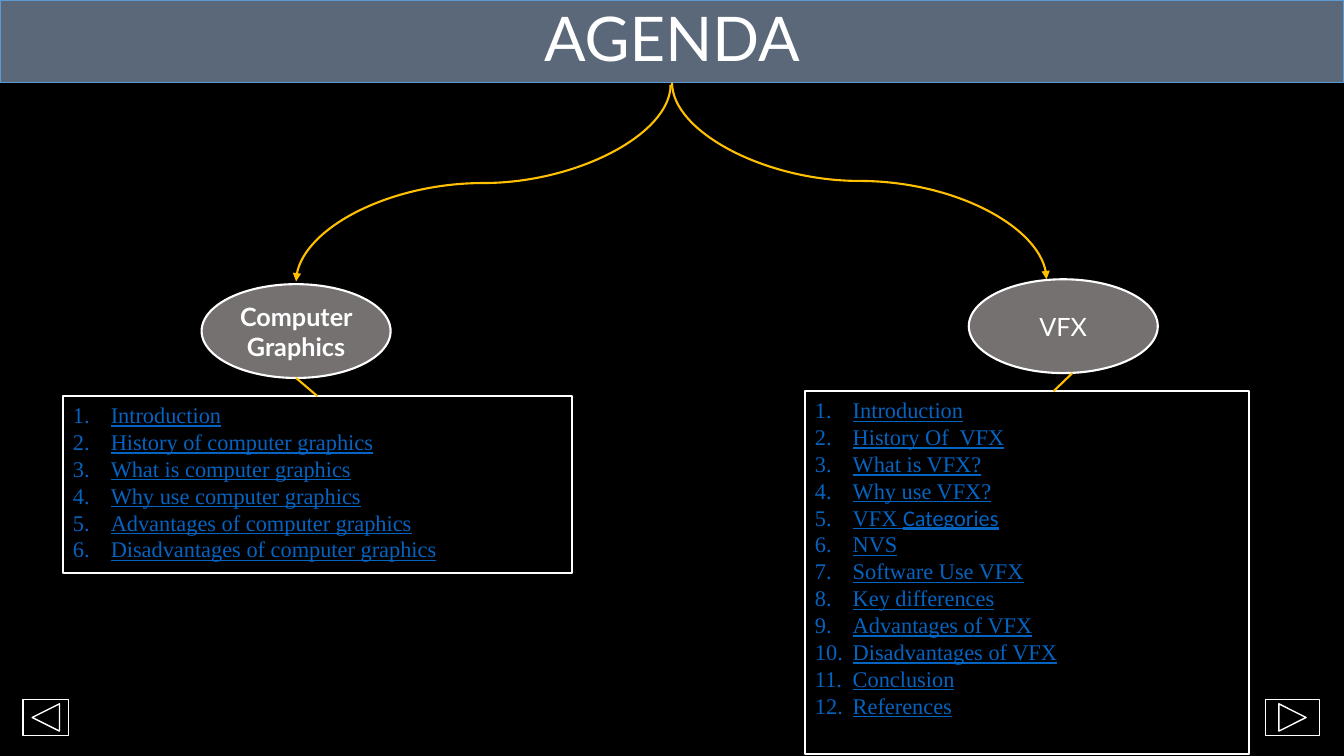
from dataclasses import dataclass

from lxml.etree import SubElement
from pptx import Presentation
from pptx.dml.color import RGBColor
from pptx.enum.dml import MSO_FILL
from pptx.enum.shapes import MSO_CONNECTOR, MSO_SHAPE
from pptx.enum.text import MSO_ANCHOR, PP_ALIGN
from pptx.oxml.ns import qn
from pptx.shapes.autoshape import Shape
from pptx.shapes.connector import Connector
from pptx.slide import Slide
from pptx.util import Pt

WHITE, BLACK, GOLD, LINK_BLUE = "FFFFFF", "000000", "FFC000", "0563C1"
LIST_INDENT = 27


@dataclass(frozen=True)
class Frame:
    kind: MSO_SHAPE
    left: float
    top: float
    width: float
    height: float
    fill: str = ""
    line: str = WHITE
    line_width: float = 1.5


@dataclass(frozen=True)
class Label:
    text: str
    size: float
    bold: bool = False
    line_spacing: float = 1.0


@dataclass(frozen=True)
class Entry:
    text: str
    sans_tail: str = ""


@dataclass(frozen=True)
class Topic:
    oval: Frame
    label: Label
    box: Frame
    entries: tuple[Entry, ...]
    alignment: PP_ALIGN
    arrow: tuple[float, float, float, float]
    link: tuple[float, float, float, float]
    link_joins_box: bool


TITLE_BAR = Frame(MSO_SHAPE.RECTANGLE, 0, 0, 960, 59, "8497B0", "5B9BD5", 0.75)
TITLE = Label("AGENDA", 44, line_spacing=0.9)

TOPICS = (
    Topic(
        Frame(MSO_SHAPE.OVAL, 144, 203, 135, 67, "767171"),
        Label("Computer Graphics", 18, bold=True),
        Frame(MSO_SHAPE.RECTANGLE, 45, 283, 363.5, 126, BLACK),
        (
            Entry("Introduction"),
            Entry("History of computer graphics"),
            Entry("What is computer graphics"),
            Entry("Why use computer graphics"),
            Entry("Advantages of computer graphics"),
            Entry("Disadvantages of computer graphics"),
        ),
        PP_ALIGN.JUSTIFY,
        (479, 60.5, 211.5, 201),
        (211.5, 270, 226.75, 283),
        True,
    ),
    Topic(
        Frame(MSO_SHAPE.OVAL, 692, 199.5, 135, 67, "767171"),
        Label("VFX", 18),
        Frame(MSO_SHAPE.RECTANGLE, 575, 279.5, 317, 259, BLACK),
        (
            Entry("Introduction"),
            Entry("History Of  VFX"),
            Entry("What is VFX?"),
            Entry("Why use VFX?"),
            Entry("VFX ", sans_tail="Categories"),
            Entry("NVS"),
            Entry("Software Use VFX"),
            Entry("Key differences"),
            Entry("Advantages of VFX"),
            Entry("Disadvantages of VFX"),
            Entry("Conclusion"),
            Entry("References"),
        ),
        PP_ALIGN.LEFT,
        (480, 59, 747.5, 199.5),
        (766, 266.5, 752.5, 279.5),
        False,
    ),
)

BUTTONS = (
    Frame(MSO_SHAPE.ACTION_BUTTON_BACK_OR_PREVIOUS, 16.5, 499.5, 32.5, 26, line_width=1),
    Frame(MSO_SHAPE.ACTION_BUTTON_FORWARD_OR_NEXT, 904, 499.5, 38.5, 26, line_width=1),
)


def color(value: str) -> RGBColor:
    return RGBColor.from_string(value)


def draw_frame(page: Slide, frame: Frame) -> Shape:
    shape = page.shapes.add_shape(
        frame.kind, Pt(frame.left), Pt(frame.top), Pt(frame.width), Pt(frame.height)
    )
    shape.shadow.inherit = False
    if frame.fill:
        shape.fill.solid()
        shape.fill.fore_color.rgb = color(frame.fill)
    else:
        shape.fill.background()
    shape.line.color.rgb = color(frame.line)
    shape.line.width = Pt(frame.line_width)
    return shape


def set_opacity(shape: Shape, percent: int) -> None:
    if shape.fill.type == MSO_FILL.SOLID:
        tint = shape._element.spPr.find(qn("a:solidFill")).find(qn("a:srgbClr"))
        SubElement(tint, qn("a:alpha")).set("val", str(percent * 1000))


def write_label(shape: Shape, label: Label) -> None:
    frame = shape.text_frame
    frame.word_wrap = True
    frame.vertical_anchor = MSO_ANCHOR.MIDDLE
    frame.text = label.text
    para = frame.paragraphs[0]
    para.alignment = PP_ALIGN.CENTER
    para.line_spacing = label.line_spacing
    font = para.runs[0].font
    font.name = "Lato"
    font.size = Pt(label.size)
    font.bold = label.bold
    font.color.rgb = color(WHITE)


def write_entries(box: Shape, entries: tuple[Entry, ...], alignment: PP_ALIGN) -> None:
    frame = box.text_frame
    frame.word_wrap = True
    frame.vertical_anchor = MSO_ANCHOR.TOP
    for index, entry in enumerate(entries):
        para = frame.add_paragraph() if index else frame.paragraphs[0]
        para.text = entry.text
        para.alignment = alignment
        properties = para._p.get_or_add_pPr()
        properties.set("marL", str(Pt(LIST_INDENT)))
        properties.set("indent", str(-Pt(LIST_INDENT)))
        SubElement(properties, qn("a:buFont")).set("typeface", "+mj-lt")
        SubElement(properties, qn("a:buAutoNum")).set("type", "arabicPeriod")
        if entry.sans_tail:
            para.add_run().text = entry.sans_tail
        for span, name in zip(para.runs, ("Times New Roman", "Calibri")):
            span.font.name = name
            span.font.size = Pt(16)
            span.font.underline = True
            span.font.color.rgb = color(LINK_BLUE)


def draw_connector(
    page: Slide, kind: MSO_CONNECTOR, ends: tuple[float, float, float, float]
) -> Connector:
    connector = page.shapes.add_connector(kind, *(Pt(value) for value in ends))
    connector.line.color.rgb = color(GOLD)
    connector.line.width = Pt(1.5)
    SubElement(connector._element.spPr, qn("a:effectLst"))
    return connector


def draw_arrow(page: Slide, ends: tuple[float, float, float, float]) -> None:
    start_x, start_y, end_x, end_y = ends
    center_x, center_y = (start_x + end_x) / 2, (start_y + end_y) / 2
    half_width, half_height = (end_y - start_y) / 2, abs(end_x - start_x) / 2
    side = -1 if end_x < start_x else 1
    turned = (
        center_x + side * half_width,
        center_y - half_height,
        center_x - side * half_width,
        center_y + half_height,
    )
    arrow = draw_connector(page, MSO_CONNECTOR.CURVE, turned)
    arrow._element.spPr.xfrm.set("rot", str((180 + 90 * side) * 60000))
    SubElement(arrow.line._get_or_add_ln(), qn("a:tailEnd")).set("type", "triangle")


def draw_topic(page: Slide, topic: Topic) -> None:
    box = draw_frame(page, topic.box)
    write_entries(box, topic.entries, topic.alignment)
    write_label(draw_frame(page, topic.oval), topic.label)
    draw_arrow(page, topic.arrow)
    link = draw_connector(page, MSO_CONNECTOR.STRAIGHT, topic.link)
    if topic.link_joins_box:
        link.end_connect(box, 0)


def main() -> None:
    deck = Presentation()
    deck.slide_width, deck.slide_height = Pt(960), Pt(540)
    page = deck.slides.add_slide(deck.slide_layouts[6])
    page.background.fill.solid()
    page.background.fill.fore_color.rgb = color(BLACK)
    title_bar = draw_frame(page, TITLE_BAR)
    set_opacity(title_bar, 69)
    write_label(title_bar, TITLE)
    for topic in TOPICS:
        draw_topic(page, topic)
    for button in BUTTONS:
        draw_frame(page, button)
    deck.save("out.pptx")


if __name__ == "__main__":
    main()
